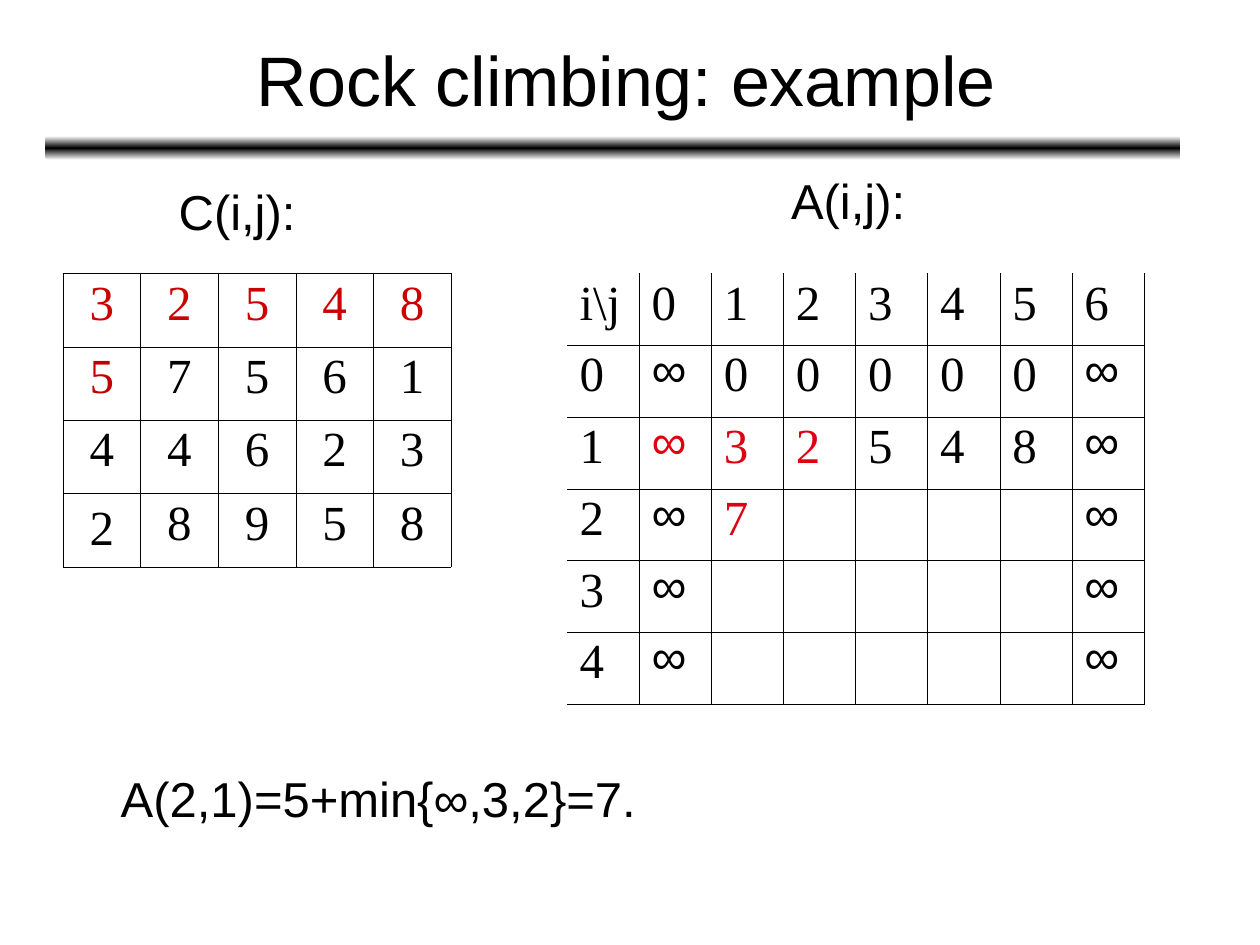
import copy

import pptx
import pptx.dml.color
import pptx.enum.shapes
import pptx.enum.text
import pptx.oxml
import pptx.oxml.ns
import pptx.util

Inches = pptx.util.Inches
Pt = pptx.util.Pt
ANCHOR = pptx.enum.text.MSO_ANCHOR
ALIGN = pptx.enum.text.PP_ALIGN

COLORS = {
    "black": "000000",
    "white": "FFFFFF",
    "red": "CC0000",
    "dark red": "C00000",
    "bright red": "DD0111",
}
HAIRLINE, OUTLINE = 0.23, 0.5

COSTS = ["32548", "57561", "44623", "28958"]
COST_COLORS = {(0, column): "red" for column in range(5)} | {(1, 0): "dark red"}

ANSWERS = [
    ["i\\j", *"0123456"],
    [*"0∞00000∞"],
    [*"1∞32548∞"],
    ["2", "∞", "7", "", "", "", "", "∞"],
    ["3", "∞", "", "", "", "", "", "∞"],
    ["4", "∞", "", "", "", "", "", "∞"],
]
ANSWER_COLORS = dict.fromkeys([(2, 1), (2, 2), (2, 3), (3, 2)], "bright red")


def rgb(name):
    return pptx.dml.color.RGBColor.from_string(COLORS[name])


class SlideBuilder:
    sans = "Arial"
    serif = "Times New Roman"
    body_size = 28

    def __init__(self, slide):
        self.slide = slide

    def style(self, para, font, size, color="black", align=ALIGN.LEFT, spacing=None):
        para.alignment = align
        para.line_spacing = spacing
        para.font.name = font
        para.font.size = Pt(size)
        para.font.color.rgb = rgb(color)

    def text(self, text, left, top, width, height):
        box = self.slide.shapes.add_textbox(
            Inches(left), Inches(top), Inches(width), Inches(height))
        box.text_frame.text = text
        return box.text_frame

    def title(self, text, left, top, width, height):
        frame = self.text(text, left, top, width, height)
        frame.word_wrap = True
        frame.vertical_anchor = ANCHOR.MIDDLE
        self.style(frame.paragraphs[0], self.sans, 40, align=ALIGN.CENTER)

    def label(self, text, left, top, width, height=0.52):
        frame = self.text(text, left, top, width, height)
        frame.word_wrap = False
        frame.auto_size = pptx.enum.text.MSO_AUTO_SIZE.SHAPE_TO_FIT_TEXT
        self.style(frame.paragraphs[0], self.sans, self.body_size, spacing=0.9)

    def rule(self, left, top, width, height):
        """Draw a bar that fades from black to white at its long edges."""
        bar = self.slide.shapes.add_shape(
            pptx.enum.shapes.MSO_SHAPE.ROUNDED_RECTANGLE,
            Inches(left), Inches(top), Inches(width), Inches(height))
        bar.shadow.inherit = False
        bar.line.fill.background()
        bar.fill.gradient()
        bar.fill.gradient_angle = 90
        stop_list = next(bar._element.spPr.iter(pptx.oxml.ns.qn("a:gsLst")))
        stop_list.append(copy.deepcopy(stop_list[0]))
        fade = [(0, "white"), (0.5, "black"), (1, "white")]
        for stop, (position, color) in zip(bar.fill.gradient_stops, fade):
            stop.position = position
            stop.color.rgb = rgb(color)

    def borders(self, cell, widths):
        """Set left, right, top and bottom lines in points; None means no line."""
        properties = cell._tc.get_or_add_tcPr()
        for index, (side, width) in enumerate(zip("LRTB", widths)):
            if width is None:
                size, fill = "", "<a:noFill/>"
            else:
                size = f' w="{Pt(width)}"'
                fill = (f'<a:solidFill><a:srgbClr val="{COLORS["black"]}"/>'
                        "</a:solidFill>")
            namespace = pptx.oxml.ns.nsdecls("a")
            properties.insert(index, pptx.oxml.parse_xml(
                f"<a:ln{side} {namespace}{size}>{fill}</a:ln{side}>"))

    def grid(self, rows, left, top, width, height, colors, align, start_edge):
        """Draw a matrix; start_edge is the line width of its left and top edges."""
        row_count, column_count = len(rows), len(rows[0])
        table = self.slide.shapes.add_table(
            row_count, column_count,
            Inches(left), Inches(top), Inches(width), Inches(height)).table
        table.first_row = table.horz_banding = False
        for column in table.columns:
            column.width = Inches(width / column_count)
        for row in table.rows:
            row.height = Inches(height / row_count)

        for r, values in enumerate(rows):
            for c, value in enumerate(values):
                cell = table.cell(r, c)
                cell.fill.background()
                self.borders(cell, [
                    start_edge if c == 0 else HAIRLINE,
                    OUTLINE if c == column_count - 1 else HAIRLINE,
                    start_edge if r == 0 else HAIRLINE,
                    OUTLINE if r == row_count - 1 else HAIRLINE,
                ])
                if not value:
                    continue
                cell.text = value
                infinite = value == "∞"
                self.style(cell.text_frame.paragraphs[0],
                           self.sans if infinite else self.serif, self.body_size,
                           colors.get((r, c), "black"), align,
                           0.83 if infinite else 0.93)
        return table


def main():
    deck = pptx.Presentation()
    deck.slide_width, deck.slide_height = Inches(10), Inches(7.5)
    page = SlideBuilder(deck.slides.add_slide(deck.slide_layouts[6]))

    page.rule(0.36, 1.08, 9.01, 0.19)
    page.title("Rock climbing: example", 0.72, 0, 8.5, 1.25)
    costs = page.grid(COSTS, 0.5, 2.17, 3.08, 2.33, COST_COLORS,
                      ALIGN.CENTER, OUTLINE)
    costs.cell(3, 0).vertical_anchor = ANCHOR.MIDDLE
    page.label("C(i,j):", 1.32, 1.44, 1.14)
    page.label("A(i,j):", 6.18, 1.36, 1.13)
    page.label("A(2,1)=5+min{∞,3,2}=7.", 0.86, 6.1, 4.32)
    page.grid(ANSWERS, 4.5, 2.17, 4.58, 3.42, ANSWER_COLORS, ALIGN.LEFT, None)

    deck.save("out.pptx")


if __name__ == "__main__":
    main()
